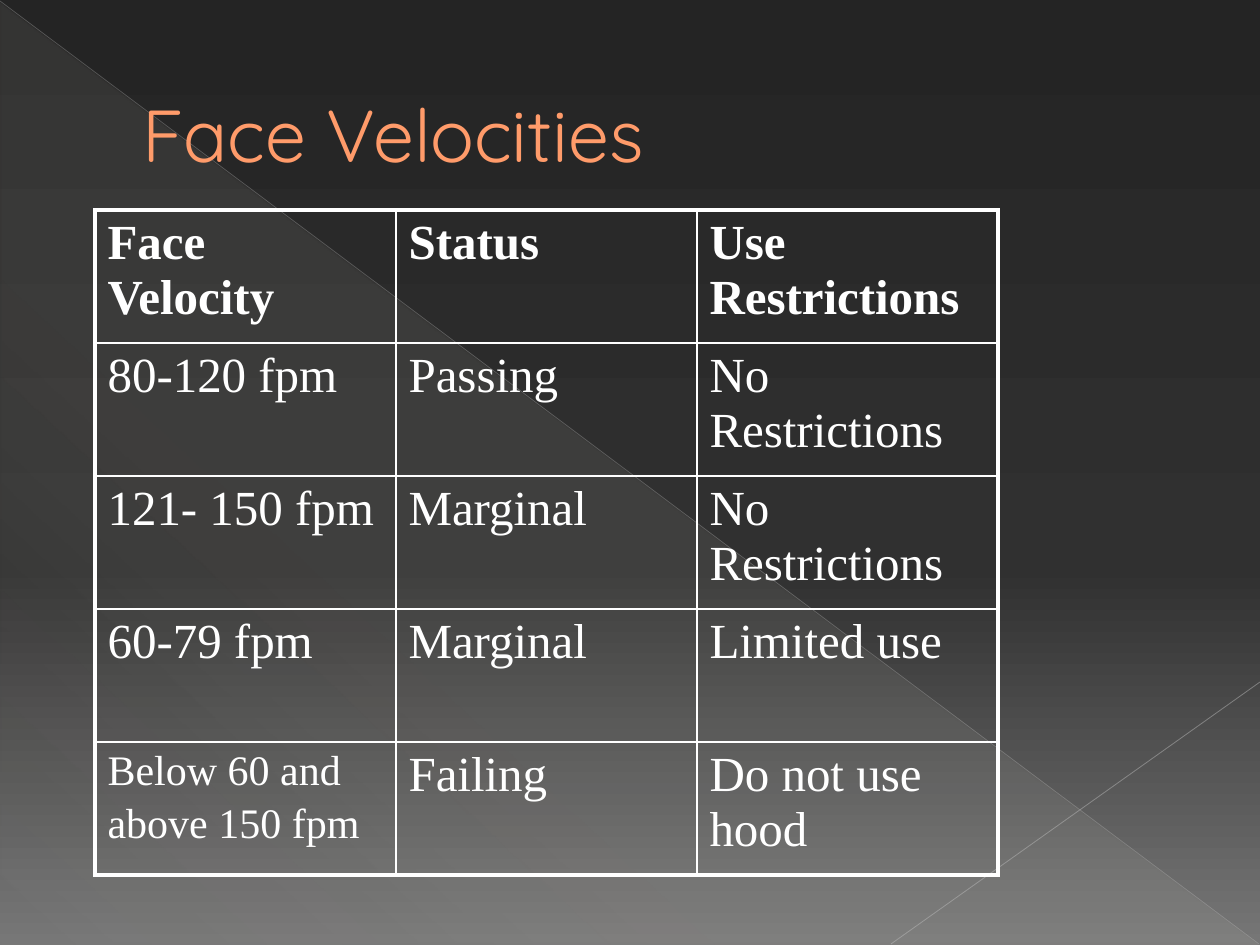
"""Build the Face Velocities slide with its status table."""
from pptx import Presentation
from pptx.dml.color import RGBColor
from pptx.enum.shapes import MSO_CONNECTOR, MSO_SHAPE
from pptx.enum.text import MSO_ANCHOR
from pptx.oxml import parse_xml
from pptx.oxml.ns import nsdecls, qn
from pptx.util import Pt

PX = 914400 / 126
STRAIGHT = MSO_CONNECTOR.STRAIGHT
TRIANGLE = MSO_SHAPE.RIGHT_TRIANGLE
MIDDLE = MSO_ANCHOR.MIDDLE
WHITE = "FFFFFF"
THIN, THICK = 1, 2.25

ROWS = [
    ["Face Velocity", "Status", "Use Restrictions"],
    ["80-120 fpm", "Passing", "No Restrictions"],
    ["121- 150 fpm", "Marginal", "No Restrictions"],
    ["60-79 fpm", "Marginal", "Limited use"],
    ["Below 60 and above 150 fpm", "Failing", "Do not use hood"],
]
COLUMN_WIDTH, ROW_HEIGHT = 301, 133


def px(*lengths):
    return [round(length * PX) for length in lengths]


def set_gradient(fill, element, stops, angle):
    fill.gradient()
    gradient = element.find(".//" + qn("a:gradFill"))
    stops_xml = "".join(
        f'<a:gs pos="{position * 1000}"><a:srgbClr val="{color}">'
        f'<a:alpha val="{alpha * 1000}"/></a:srgbClr></a:gs>'
        for position, color, alpha in stops)
    gradient.replace(gradient.find(qn("a:gsLst")),
                     parse_xml(f'<a:gsLst {nsdecls("a")}>{stops_xml}</a:gsLst>'))
    gradient.find(qn("a:lin")).set("ang", str(angle * 60000))


presentation = Presentation()
presentation.slide_width, presentation.slide_height = px(1260, 945)
slide = presentation.slides.add_slide(presentation.slide_layouts[6])
set_gradient(slide.background.fill, slide.element,
             [(0, "242424", 100), (60, "303030", 100), (100, "767676", 100)], 90)

triangle = slide.shapes.add_shape(TRIANGLE, *px(1, 3, 1258, 942))
triangle.shadow.inherit = False
triangle.line.fill.background()
set_gradient(triangle.fill, triangle.element,
             [(0, "E3DED1", 10), (70, "E3DED1", 8), (100, "E3DED1", 1)], 133)

for ends, color, width, alpha in [
    ((0, 1, 1259, 944), "B6B6B6", 0.39, 35),
    ((1260, 682, 891, 944), "BFBFBF", 0.47, 45),
]:
    connector = slide.shapes.add_connector(STRAIGHT, *px(*ends))
    connector.line.color.rgb = RGBColor.from_string(color)
    connector.line.width = Pt(width)
    connector.element.find(".//" + qn("a:ln")).find(".//" + qn("a:srgbClr")).append(
        parse_xml(f'<a:alpha {nsdecls("a")} val="{alpha * 1000}"/>'))
    connector.element.spPr.append(parse_xml(f'<a:effectLst {nsdecls("a")}/>'))

title = slide.shapes.add_textbox(*px(63, 37, 1134, 193))
title.text_frame.word_wrap = True
title.text_frame.vertical_anchor = MIDDLE
title.text_frame.margin_left = px(80)[0]
paragraph = title.text_frame.paragraphs[0]
paragraph.text = "Face Velocities"
paragraph.font.name = "Quicksand"
paragraph.font.size = Pt(42)
paragraph.font.color.rgb = RGBColor.from_string("FF9B6A")

last_row, last_column = len(ROWS) - 1, len(ROWS[0]) - 1
table = slide.shapes.add_table(
    len(ROWS), len(ROWS[0]),
    *px(95, 210, COLUMN_WIDTH * len(ROWS[0]), ROW_HEIGHT * len(ROWS))).table
table.first_row = False
table.horz_banding = False

for row, texts in enumerate(ROWS):
    for column, text in enumerate(texts):
        cell = table.cell(row, column)
        properties = cell._tc.get_or_add_tcPr()
        for side, outer in [("L", column == 0), ("R", column == last_column),
                            ("T", row == 0), ("B", row == last_row)]:
            width = Pt(THICK if outer else THIN)
            properties.append(parse_xml(
                f'<a:ln{side} {nsdecls("a")} w="{width}"><a:solidFill>'
                f'<a:srgbClr val="{WHITE}"/></a:solidFill></a:ln{side}>'))
        cell.fill.background()
        paragraph = cell.text_frame.paragraphs[0]
        paragraph.text = text
        paragraph.font.name = "Times New Roman"
        paragraph.font.size = Pt(28)
        paragraph.font.bold = row == 0
        paragraph.font.color.rgb = RGBColor.from_string(WHITE)
        paragraph._p.get_or_add_pPr().insert(0, parse_xml(
            f'<a:spcBef {nsdecls("a")}><a:spcPct val="20000"/></a:spcBef>'))

long_paragraph = table.cell(last_row, 0).text_frame.paragraphs[0]
long_paragraph.runs[0].font.size = Pt(24)
long_paragraph.add_run().text = " "

presentation.save("out.pptx")
